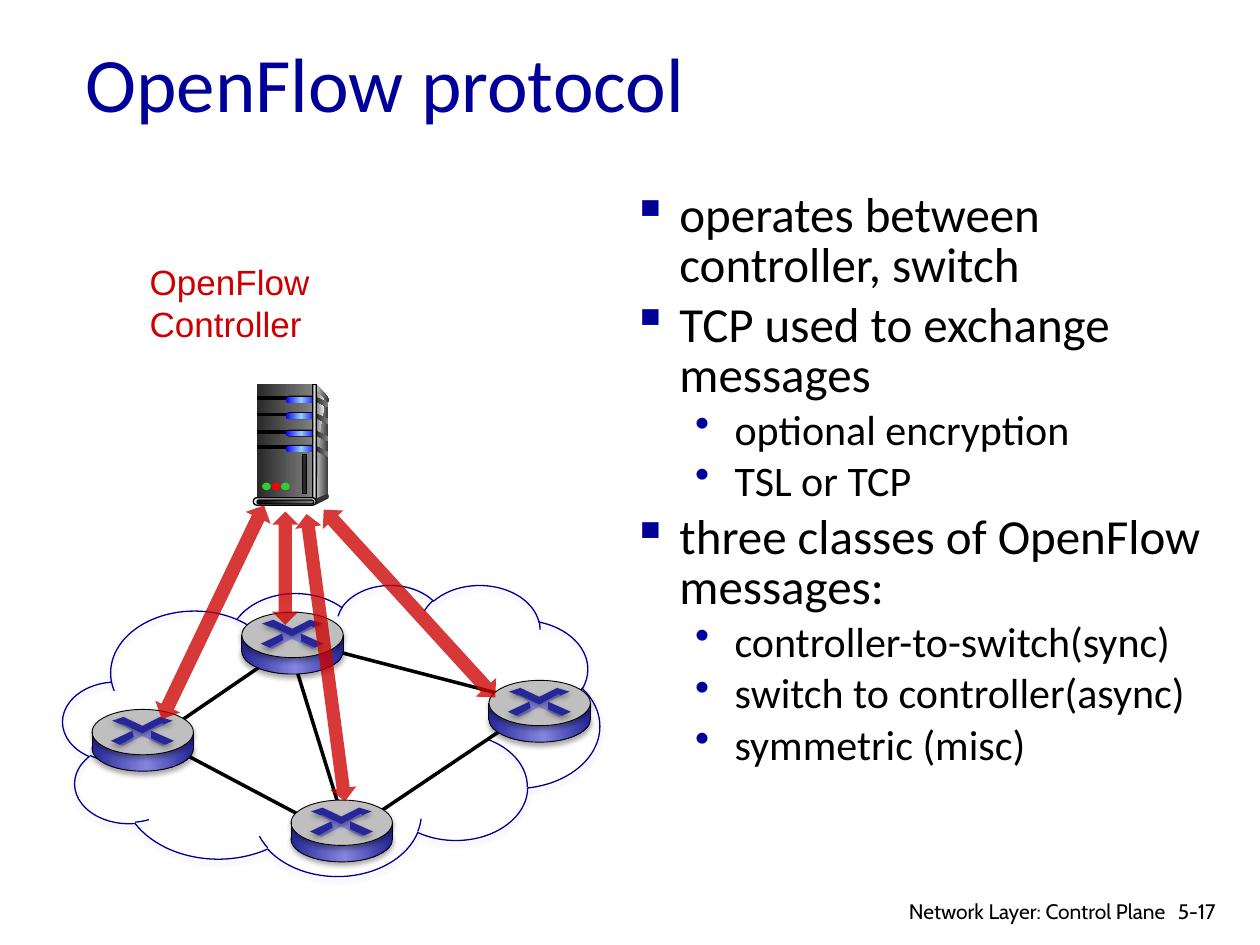
"""Build the OpenFlow protocol slide with a controller, four switches and their messages."""
import copy
import dataclasses

import lxml.etree
import pptx
import pptx.dml.color
import pptx.enum.shapes
import pptx.enum.text
import pptx.oxml.ns
import pptx.util

Pt = pptx.util.Pt
RGB = pptx.dml.color.RGBColor.from_string
qn = pptx.oxml.ns.qn
KIND = pptx.enum.shapes.MSO_SHAPE
ALIGN = pptx.enum.text.PP_ALIGN
ANCHOR = pptx.enum.text.MSO_ANCHOR


@dataclasses.dataclass(frozen=True)
class Theme:
    navy: str = "000099"
    outline: str = "000090"
    red: str = "CC0000"
    black: str = "000000"
    lilac: str = "A5A5E9"
    cross: str = "262699"
    cross_edge: str = "8585E0"
    disc: str = "BFBFBF"
    silver: str = "DDDDDD"
    dark: str = "333333"
    slot: str = "292929"
    lamp_on: str = "33CC33"
    lamp_alert: str = "FF0000"
    rim: tuple = ((0, "262699"), (0.53, "8585E0"), (1, "262699"))
    metal: tuple = ((0, "292929"), (1, "808080"))
    side: tuple = ((0, "DDDDDD"), (1, "333333"))
    sheen: tuple = ((0, "808080"), (1, "F8F8F8"))
    edge: tuple = ((0, "333333"), (0.5, "DDDDDD"), (1, "333333"))
    base: tuple = ((0, "000000"), (1, "808080"))
    light: tuple = ((0, "0000FF"), (0.5, "99CCFF"), (1, "0000FF"))
    title_size: int = 44
    point_size: int = 28
    detail_size: int = 24
    label_size: int = 20
    footer_size: int = 12
    text_font: str = "Calibri"
    label_font: str = "Arial"
    footer_font: str = "Cabin"


theme = Theme()
deck = pptx.Presentation()
deck.slide_width, deck.slide_height = Pt(720), Pt(540)
slide = deck.slides.add_slide(deck.slide_layouts[6])


def draw(kind, place, fill, line=None, width=0.75, shadow=None):
    """Draw a preset in a box, or an outline through points when kind is None."""
    if kind is None:
        corners = [(Pt(x), Pt(y)) for x, y in place]
        builder = slide.shapes.build_freeform(*corners[0], scale=1.0)
        builder.add_line_segments(corners[1:], close=True)
        shape = builder.convert_to_shape()
    else:
        shape = slide.shapes.add_shape(kind, *map(Pt, place))
    if kind == KIND.ROUNDED_RECTANGLE:
        shape.adjustments[0] = 0.5
    if fill is None:
        shape.fill.background()
    elif isinstance(fill, str):
        shape.fill.solid()
        shape.fill.fore_color.rgb = RGB(fill)
    else:
        shape.fill.gradient()
        shape.fill.gradient_angle = 0
        stops = shape._element.spPr.find(qn("a:gradFill")).find(qn("a:gsLst"))
        for _ in fill[2:]:
            stops.append(copy.deepcopy(stops[0]))
        for stop, (position, color) in zip(shape.fill.gradient_stops, fill):
            stop.position = position
            stop.color.rgb = RGB(color)
    if line:
        shape.line.color.rgb = RGB(line)
        shape.line.width = Pt(width)
    else:
        shape.line.fill.background()
    shape.shadow.inherit = False
    if shadow:
        effects = shape._element.spPr.find(qn("a:effectLst"))
        cast = lxml.etree.SubElement(effects, qn("a:outerShdw"), blurRad=str(Pt(3.1)),
                                     dist=str(Pt(1.8)), dir="5400000", rotWithShape="0")
        tint = lxml.etree.SubElement(cast, qn("a:srgbClr"), val=shadow)
        lxml.etree.SubElement(tint, qn("a:alpha"), val="35000")
    return shape


def link(ends, width):
    """Join two points with a plain black line."""
    wire = slide.shapes.add_connector(pptx.enum.shapes.MSO_CONNECTOR.STRAIGHT, *map(Pt, ends))
    wire.line.color.rgb = RGB(theme.black)
    wire.line.width = Pt(width)
    lxml.etree.SubElement(wire._element.spPr, qn("a:effectLst"))


labels = [
    ("OpenFlow protocol", (41.8, 1.4, 612, 90), theme.title_size, theme.text_font, theme.navy, ALIGN.LEFT, ANCHOR.MIDDLE),
    ("OpenFlow Controller", (78.5, 145.4, 116, 56), theme.label_size, theme.label_font, theme.red, ALIGN.LEFT, ANCHOR.TOP),
    ("5-17", (666, 509.8, 43.2, 21.6), theme.footer_size, theme.footer_font, theme.black, ALIGN.LEFT, ANCHOR.TOP),
    ("Network Layer: Control Plane", (501.8, 509.8, 171.4, 18.7), theme.footer_size, theme.footer_font, theme.black, ALIGN.RIGHT, ANCHOR.TOP),
]
for words, box, size, font, color, align, anchor in labels:
    frame = slide.shapes.add_textbox(*map(Pt, box)).text_frame
    frame.word_wrap = True
    frame.vertical_anchor = anchor
    frame.text = words
    label = frame.paragraphs[0]
    label.alignment = align
    label.font.size, label.font.name = Pt(size), font
    label.font.color.rgb = RGB(color)

points = [
    (0, "operates between controller, switch"),
    (0, "TCP used to exchange messages"),
    (1, "optional encryption"),
    (1, "TSL or TCP"),
    (0, "three classes of OpenFlow messages:"),
    (1, "controller-to-switch(sync)"),
    (1, "switch to controller(async)"),
    (1, "symmetric (misc)"),
]
levels = [("▪", 27, -27, theme.point_size), ("•", 58.5, -22.5, theme.detail_size)]
body = slide.shapes.add_textbox(Pt(354.2), Pt(106.6), Pt(342.7), Pt(365.8)).text_frame
body.word_wrap = True
body.text = "\n".join(words for _, words in points)
for index, (point, (level, _)) in enumerate(zip(body.paragraphs, points)):
    mark, margin, indent, size = levels[level]
    point.level = level
    point.line_spacing = 0.85
    point.space_before = Pt(size * 0.2 if index else 0)
    properties = point._p.get_or_add_pPr()
    properties.set("marL", str(Pt(margin)))
    properties.set("indent", str(Pt(indent)))
    bullet_color = lxml.etree.SubElement(properties, qn("a:buClr"))
    lxml.etree.SubElement(bullet_color, qn("a:srgbClr"), val=theme.navy)
    lxml.etree.SubElement(properties, qn("a:buChar"), char=mark)
    point.font.size, point.font.name = Pt(size), theme.text_font
    point.font.color.rgb = RGB(theme.black)

draw(KIND.CLOUD, (36, 334, 306.7, 166.3), None, theme.outline, shadow=theme.lilac)
for ends in [(88.6, 422, 183.6, 357), (88.6, 422, 183.6, 472.3), (167.8, 377.3, 193, 458.6),
             (189.4, 371.5, 292.3, 398.2), (204.5, 472.3, 292.3, 413.3)]:
    link(ends, 2)

draw(None, [(180.7, 219.6), (187.9, 227.5), (187.2, 283), (179.3, 285.8)], theme.side)
draw(KIND.RECTANGLE, (147, 219.6, 31.7, 66.2), theme.metal)
draw(None, [(180.7, 223.2), (185.8, 229), (183, 245), (181.5, 265), (180.7, 283.7)], theme.sheen)
for y in (226.8, 236.2, 246.2, 254.9):
    draw(KIND.RECTANGLE, (147, y, 18, 1.4), theme.black, theme.black)
    draw(KIND.ROUNDED_RECTANGLE, (163.4, y - 0.7, 17.3, 4), theme.black)
    draw(KIND.ROUNDED_RECTANGLE, (163.4, y, 17.3, 3.2), theme.light)
    draw(None, [(180.3, y), (187.5, y + 3.4), (187.2, y + 6), (180.3, y + 2.4)], theme.metal)
draw(KIND.RECTANGLE, (178.6, 219.6, 2.2, 66.2), theme.edge, theme.black)
draw(KIND.OVAL, (186.5, 282.2, 1.4, 2.9), theme.dark)
draw(None, [(180, 285.1), (180, 288.7), (187.2, 285.1), (187.2, 282.2)], theme.dark)
draw(KIND.ROUNDED_RECTANGLE, (144.7, 284.4, 36, 4.3), theme.silver, theme.black)
draw(KIND.ROUNDED_RECTANGLE, (146.9, 285.8, 32.4, 2.2), theme.base, theme.black)
for x, lamp in [(149.8, theme.lamp_on), (155.3, theme.lamp_alert), (160.6, theme.lamp_on)]:
    draw(KIND.OVAL, (x, 275.8, 5, 4.3), lamp)
draw(KIND.RECTANGLE, (172.8, 259.9, 2.2, 22.3), theme.slot, theme.black)

cross_side = [(28.8, 15.1), (17.3, 20.9), (14.4, 19.4), (23.8, 15.8), (23, 12.2), (16.6, 8.6), (18.7, 7.9),
              (28.8, 12.2), (38.9, 7.9), (41.8, 8.6), (33.8, 12.2), (36, 16.6), (43.2, 19.4), (40.3, 20.9)]
cross_parts = [
    [(11.5, 6.5), (18, 4.3), (28.8, 9.4), (38.9, 4.3), (46.1, 6.5),
     (41, 8.6), (39.6, 7.9), (28.8, 13.7), (18, 8.6), (16.6, 8.6)],
    [(33.8, 12.2), (46.8, 18), (41.8, 20.2), (33.8, 16.6)],
    [(23, 12.2), (23.8, 15.8), (15.8, 20.2), (10.8, 18)],
]
for left, top in [(166.3, 457.2), (279.4, 388.8), (52.6, 405.4), (138.2, 349.9)]:
    draw(KIND.OVAL, (left, top + 9.4, 57.9, 25.9), theme.rim, theme.black, 0.5, theme.black)
    draw(KIND.RECTANGLE, (left, top + 13, 57.9, 9.4), theme.rim)
    draw(KIND.OVAL, (left, top, 57.9, 25.9), theme.disc, theme.black, 0.5, theme.black)
    draw(None, [(left + x, top + y) for x, y in cross_side], theme.cross_edge)
    for part in cross_parts:
        draw(None, [(left + x, top + y) for x, y in part], theme.cross, shadow=theme.black)
    for x in (left, left + 57.9):
        link((x, top + 22.8, x, top + 12.8), 0.5)

for box, angle in [((178.6, 293, 15.1, 165.6), -7.6), ((155.5, 292.3, 15.1, 64.8), 0),
                   ((226.1, 272.2, 15.8, 145.4), -42.4), ((113.8, 282.2, 15.8, 135.4), 25.6)]:
    channel = draw(KIND.UP_DOWN_ARROW, box, theme.red)
    channel.rotation = angle
    tint = channel._element.spPr.find(qn("a:solidFill"))[0]
    lxml.etree.SubElement(tint, qn("a:alpha"), val="78000")

deck.save("out.pptx")
